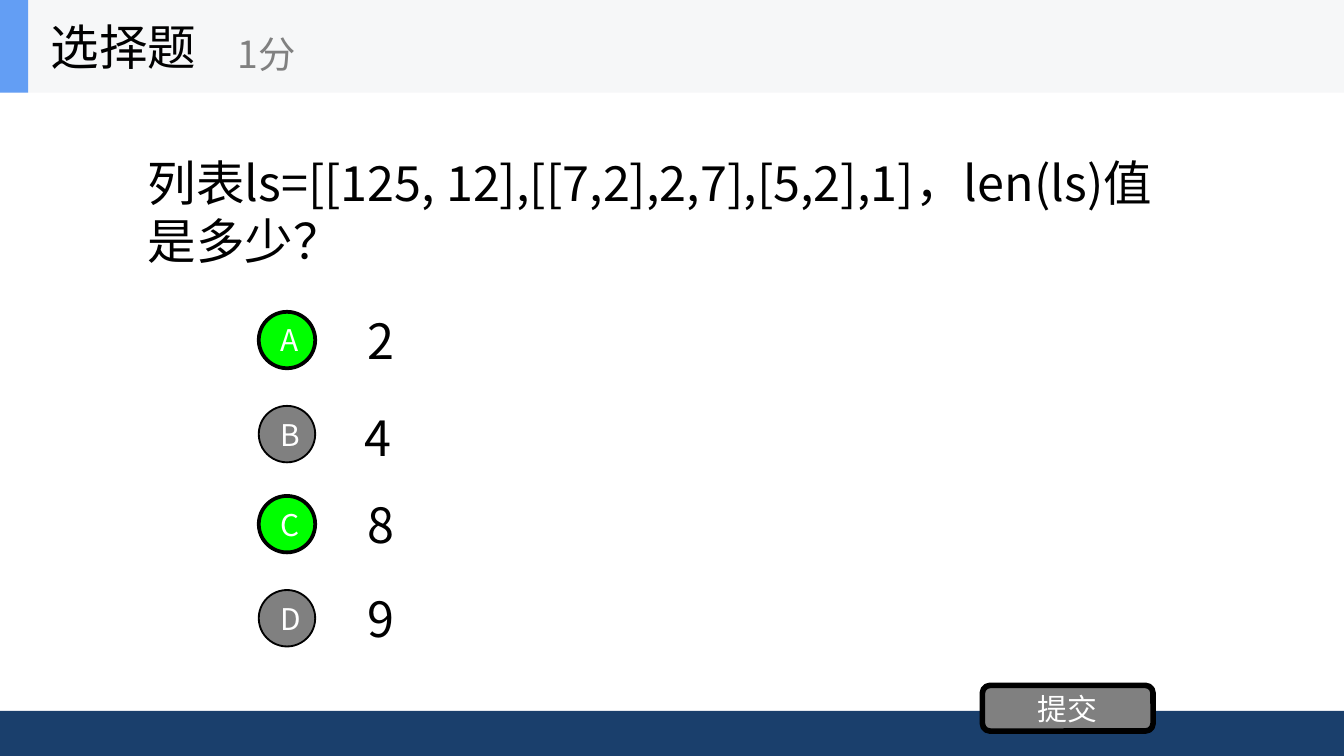
"""Build a multiple-choice question slide with four options and a submit button."""
from dataclasses import dataclass
from typing import Any, NamedTuple

from lxml import etree
from pptx import Presentation
from pptx.dml.color import RGBColor
from pptx.enum.shapes import MSO_SHAPE
from pptx.enum.text import MSO_ANCHOR, PP_ALIGN
from pptx.oxml.ns import qn
from pptx.util import Pt

RECTANGLE = MSO_SHAPE.RECTANGLE
ROUNDED = MSO_SHAPE.ROUNDED_RECTANGLE
OVAL = MSO_SHAPE.OVAL
MIDDLE = MSO_ANCHOR.MIDDLE
LEFT = PP_ALIGN.LEFT
CENTER = PP_ALIGN.CENTER

EMU_PER_PX = 4572
SLIDE_WIDTH, SLIDE_HEIGHT = 2000, 1125
HEADER_HEIGHT = 138
FOOTER_TOP = 1058
BADGE_LEFT, BADGE_SIZE = 385, 84
ANSWER_RISE, ANSWER_WIDTH, ANSWER_HEIGHT = 11, 1400, 106


@dataclass(frozen=True)
class Theme:
    font: str = "Noto Sans CJK SC"
    ink: str = "000000"
    light: str = "FFFFFF"
    muted: str = "808080"
    chosen: str = "00FF00"
    header: str = "F6F7F8"
    accent: str = "639EF4"
    footer: str = "1A3F6C"
    body_size: int = 26
    score_size: int = 20
    label_size: int = 16


class Box(NamedTuple):
    left: int
    top: int
    width: int
    height: int

    def emu(self) -> list[int]:
        return [value * EMU_PER_PX for value in self]


class Option(NamedTuple):
    letter: str
    answer: str
    badge_top: int
    chosen: bool
    answer_left: int = 527
    answer_drop: int = 0


THEME = Theme()
OPTIONS = [
    Option("A", "2", 464, True),
    Option("B", "4", 604, False, answer_left=523, answer_drop=5),
    Option("C", "8", 738, True),
    Option("D", "9", 878, False),
]


def apply(target: Any, values: dict[str, Any]) -> None:
    for attribute, value in values.items():
        setattr(target, attribute, value)


def write(shape: Any, wording: str, size: int, color: str,
          align: PP_ALIGN = LEFT, wrap: bool = True) -> None:
    frame = shape.text_frame
    apply(frame, {"word_wrap": wrap, "vertical_anchor": MIDDLE})
    paragraph = frame.paragraphs[0]
    paragraph.alignment = align
    run = paragraph.add_run()
    run.text = wording
    apply(run.font, {"name": THEME.font, "size": Pt(size)})
    run.font.color.rgb = RGBColor.from_string(color)
    east_asian = etree.SubElement(run.font._element, qn("a:ea"))
    east_asian.set("typeface", THEME.font)


def add_text(shapes: Any, box: Box, wording: str, size: int = THEME.body_size,
             color: str = THEME.ink, wrap: bool = True) -> None:
    write(shapes.add_textbox(*box.emu()), wording, size, color, wrap=wrap)


def add_panel(shapes: Any, kind: MSO_SHAPE, box: Box, fill: str,
              line_width: int = 0) -> Any:
    panel = shapes.add_shape(kind, *box.emu())
    panel.shadow.inherit = False
    panel.fill.solid()
    panel.fill.fore_color.rgb = RGBColor.from_string(fill)
    if line_width:
        panel.line.color.rgb = RGBColor.from_string(THEME.ink)
        panel.line.width = Pt(line_width)
    else:
        panel.line.fill.background()
    return panel


def add_label(shapes: Any, kind: MSO_SHAPE, box: Box, wording: str,
              fill: str, line_width: int) -> None:
    label = add_panel(shapes, kind, box, fill, line_width)
    write(label, wording, THEME.label_size, THEME.light, CENTER)


def add_option(shapes: Any, option: Option) -> None:
    badge = Box(BADGE_LEFT, option.badge_top, BADGE_SIZE, BADGE_SIZE)
    fill, line_width = (THEME.chosen, 2) if option.chosen else (THEME.muted, 1)
    add_label(shapes, OVAL, badge, option.letter, fill, line_width)
    answer_top = option.badge_top - ANSWER_RISE + option.answer_drop
    add_text(shapes, Box(option.answer_left, answer_top, ANSWER_WIDTH, ANSWER_HEIGHT),
             option.answer)


def add_header(shapes: Any) -> None:
    header = shapes.add_group_shape().shapes
    add_panel(header, RECTANGLE, Box(0, 0, SLIDE_WIDTH, HEADER_HEIGHT), THEME.header)
    add_panel(header, RECTANGLE, Box(0, 0, 42, HEADER_HEIGHT), THEME.accent)
    add_text(header, Box(56, 0, 416, HEADER_HEIGHT), "选择题", wrap=False)
    add_text(header, Box(334, 24, 500, 112), "1分", THEME.score_size, THEME.muted, wrap=False)


def main() -> None:
    deck = Presentation()
    apply(deck, {"slide_width": SLIDE_WIDTH * EMU_PER_PX,
                 "slide_height": SLIDE_HEIGHT * EMU_PER_PX})
    shapes = deck.slides.add_slide(deck.slide_layouts[6]).shapes
    add_panel(shapes, RECTANGLE,
              Box(0, FOOTER_TOP, SLIDE_WIDTH, SLIDE_HEIGHT - FOOTER_TOP), THEME.footer)
    add_text(shapes, Box(200, HEADER_HEIGHT, 1600, 353),
             "列表ls=[[125, 12],[[7,2],2,7],[5,2],1]，len(ls)值是多少？")
    add_label(shapes, ROUNDED, Box(1462, 1020, 254, 68), "提交", THEME.muted, 3)
    add_header(shapes)
    for option in OPTIONS:
        add_option(shapes, option)
    deck.save("out.pptx")


if __name__ == "__main__":
    main()
